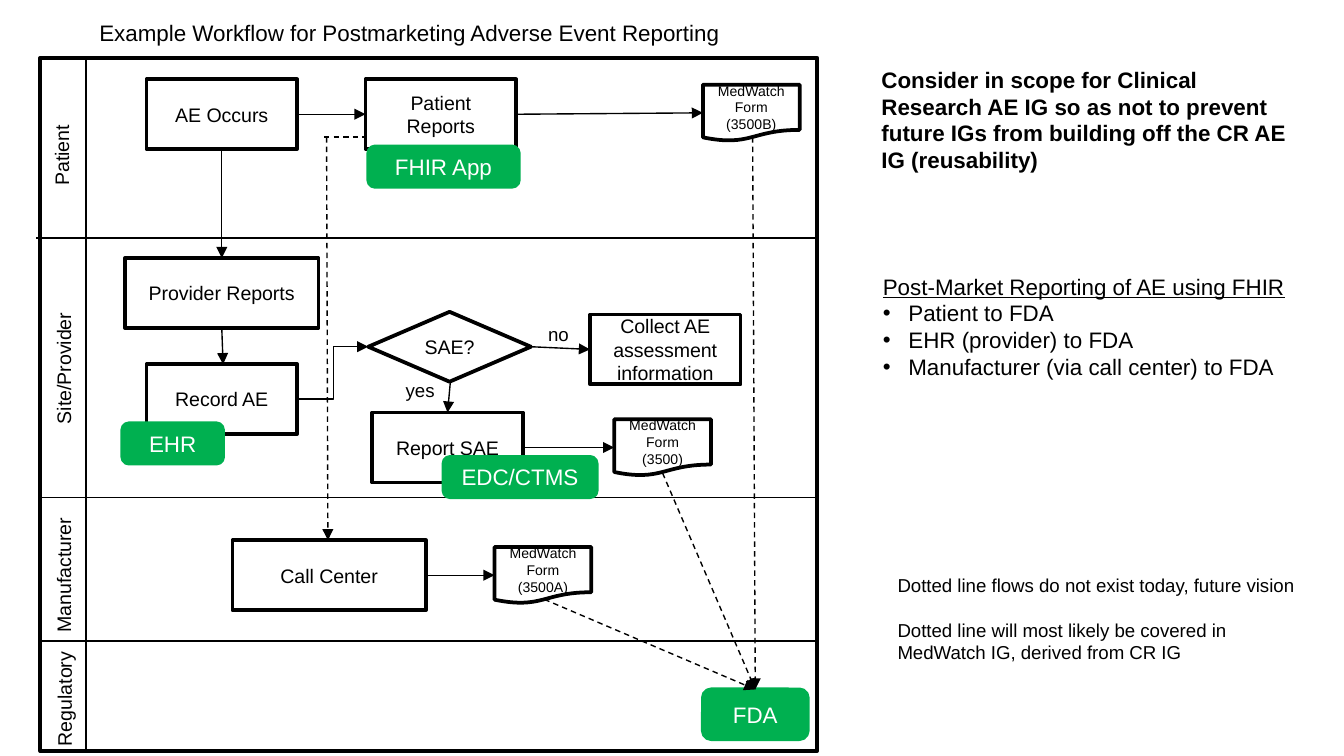
from lxml import etree
from pptx import Presentation
from pptx import util as u
from pptx.dml import color
from pptx.enum import dml, shapes, text
from pptx.oxml import ns

BLACK, WHITE, GREEN = "000000", "FFFFFF", "00B050"
RECT = shapes.MSO_SHAPE.RECTANGLE
PILL = shapes.MSO_SHAPE.ROUNDED_RECTANGLE
DECISION = shapes.MSO_SHAPE.FLOWCHART_DECISION
DOCUMENT = shapes.MSO_SHAPE.FLOWCHART_DOCUMENT


def rgb(value):
    return color.RGBColor.from_string(value)


def add_child(parent, tag, **attributes):
    return etree.SubElement(parent, ns.qn(tag), attributes)


class Workflow:
    font = "Arial"
    outline = 2
    flow = 0.75

    def __init__(self, slide):
        self.slide = slide

    def run(self, paragraph, words, size, ink=BLACK, bold=False, underline=False):
        run = paragraph.add_run()
        run.text = words
        run.font.name, run.font.size = self.font, u.Pt(size)
        run.font.color.rgb = rgb(ink)
        run.font.bold, run.font.underline = bold, underline

    def bullet(self, paragraph):
        properties = paragraph._p.get_or_add_pPr()
        indent = u.Inches(0.19)
        properties.set("marL", str(indent))
        properties.set("indent", str(-indent))
        add_child(properties, "a:buFont", typeface=self.font)
        add_child(properties, "a:buChar", char="•")

    def note(self, at, lines, size, wrap=True, turn=0, bullets_from=None,
             gap=0, bold=False, underline_first=False):
        box = self.slide.shapes.add_textbox(*map(u.Inches, at))
        box.rotation = turn
        frame = box.text_frame
        frame.word_wrap = wrap
        frame.auto_size = text.MSO_AUTO_SIZE.SHAPE_TO_FIT_TEXT
        for i, line in enumerate(lines):
            paragraph = frame.add_paragraph() if i else frame.paragraphs[0]
            if i and gap:
                paragraph.space_before = u.Pt(gap)
            if bullets_from is not None and i >= bullets_from:
                self.bullet(paragraph)
            self.run(paragraph, line, size, bold=bold,
                     underline=underline_first and i == 0)

    def box(self, kind, at, label="", size=10.5, fill=None, ink=BLACK):
        box = self.slide.shapes.add_shape(kind, *map(u.Inches, at))
        box.shadow.inherit = False
        if fill:
            box.fill.solid()
            box.fill.fore_color.rgb = rgb(fill)
        else:
            box.fill.background()
        box.line.color.rgb = rgb(fill or BLACK)
        box.line.width = u.Pt(self.outline)
        if label:
            frame = box.text_frame
            frame.word_wrap = True
            frame.vertical_anchor = text.MSO_ANCHOR.MIDDLE
            frame.paragraphs[0].alignment = text.PP_ALIGN.CENTER
            self.run(frame.paragraphs[0], label, size, ink)

    def system(self, at, label):
        self.box(PILL, at, label, 12, GREEN, WHITE)

    def line(self, ends, arrow=True, dashed=False,
             kind=shapes.MSO_CONNECTOR.STRAIGHT):
        line = self.slide.shapes.add_connector(kind, *map(u.Inches, ends))
        line.line.color.rgb = rgb(BLACK)
        line.line.width = u.Pt(self.flow)
        if dashed:
            line.line.dash_style = dml.MSO_LINE.DASH
        if arrow:
            add_child(line.line._get_or_add_ln(), "a:tailEnd", type="triangle")
        add_child(line._element.spPr, "a:effectLst")


def main():
    # A 16:9 page
    deck = Presentation()
    deck.slide_width, deck.slide_height = u.Inches(10), u.Inches(10 * 9 / 16)
    chart = Workflow(deck.slides.add_slide(deck.slide_layouts[6]))

    # Title and swimlanes
    chart.note((0.64, 0.09, 5.12, 0.3),
               ["Example Workflow for Postmarketing Adverse Event Reporting"], 12)
    chart.box(RECT, (0.3, 0.43, 5.78, 5.16))
    chart.line((0.64, 0.43, 0.64, 5.59), arrow=False)
    for left, y in [(0.27, 1.77), (0.31, 3.7), (0.3, 4.77)]:
        chart.line((left, y, 6.09, y), arrow=False)
    for lane, left, top, width in [("Patient", 0.13, 1.01, 0.66),
                                   ("Site/Provider", -0.05, 2.59, 1.05),
                                   ("Manufacturer", -0.06, 4.13, 1.07),
                                   ("Regulatory", 0.02, 5.05, 0.92)]:
        chart.note((left, top, width, 0.28), [lane], 10.5, wrap=False, turn=270)

    # Process steps
    step_height, narrow, wide = 0.52, 1.12, 1.44
    for step, left, top, width in [("AE Occurs", 1.09, 0.59, narrow),
                                   ("Patient Reports", 2.72, 0.59, narrow),
                                   ("Provider Reports", 0.93, 1.92, wide),
                                   ("Record AE", 1.09, 2.71, narrow),
                                   ("Report SAE", 2.77, 3.07, narrow),
                                   ("Collect AE assessment information",
                                    4.39, 2.34, narrow),
                                   ("Call Center", 1.73, 4.02, wide)]:
        chart.box(RECT, (left, top, width, step_height), step)
    chart.box(DECISION, (2.74, 2.32, 1.21, step_height), "SAE?")
    for form, left, top in [("3500B", 5.23, 0.63), ("3500", 4.57, 3.12),
                            ("3500A", 3.68, 4.07)]:
        chart.box(DOCUMENT, (left, top, 0.72, 0.42), f"MedWatch Form ({form})", 7.5)

    # Flows that exist today
    for ends in [(2.21, 0.85, 2.72, 0.85), (3.85, 0.85, 5.23, 0.84),
                 (1.65, 1.11, 1.65, 1.92), (1.65, 2.44, 1.66, 2.71),
                 (3.95, 2.58, 4.39, 2.6), (3.35, 2.85, 3.33, 3.07),
                 (3.9, 3.33, 4.57, 3.33), (3.17, 4.28, 3.68, 4.28)]:
        chart.line(ends)
    chart.line((2.22, 2.97, 2.74, 2.58), kind=shapes.MSO_CONNECTOR.ELBOW)
    chart.note((2.92, 2.77, 0.42, 0.27), ["yes"], 10, wrap=False)
    chart.note((3.98, 2.35, 0.36, 0.27), ["no"], 10, wrap=False)

    # Systems
    chart.system((0.91, 3.15, 0.75, 0.3), "EHR")
    chart.system((2.74, 1.09, 1.12, 0.3), "FHIR App")
    chart.system((3.3, 3.4, 1.14, 0.3), "EDC/CTMS")
    chart.system((5.23, 5.13, 0.78, 0.37), "FDA")

    # Future flows: forms to the regulator, patient reports to the call center
    for x, y in [(5.6, 1.02), (4.93, 3.52), (4.05, 4.46)]:
        chart.line((x, y, 5.62, 5.13), dashed=True)
    chart.line((2.41, 1.02, 2.72, 1.02), arrow=False, dashed=True)
    chart.line((2.43, 1.02, 2.44, 4.02), dashed=True)

    # Commentary
    chart.note((6.46, 0.44, 3.22, 0.91),
               ["Consider in scope for Clinical Research AE IG so as not to prevent "
                "future IGs from building off the CR AE IG (reusability)"],
               12, bold=True)
    chart.note((6.47, 1.98, 3.39, 0.91),
               ["Post-Market Reporting of AE using FHIR", "Patient to FDA",
                "EHR (provider) to FDA", "Manufacturer (via call center) to FDA"],
               12, bullets_from=1, underline_first=True)
    chart.note((6.58, 4.22, 3.23, 0.77),
               ["Dotted line flows do not exist today, future vision",
                "Dotted line will most likely be covered in MedWatch IG, "
                "derived from CR IG"], 10, gap=12)

    deck.save("out.pptx")


if __name__ == "__main__":
    main()
